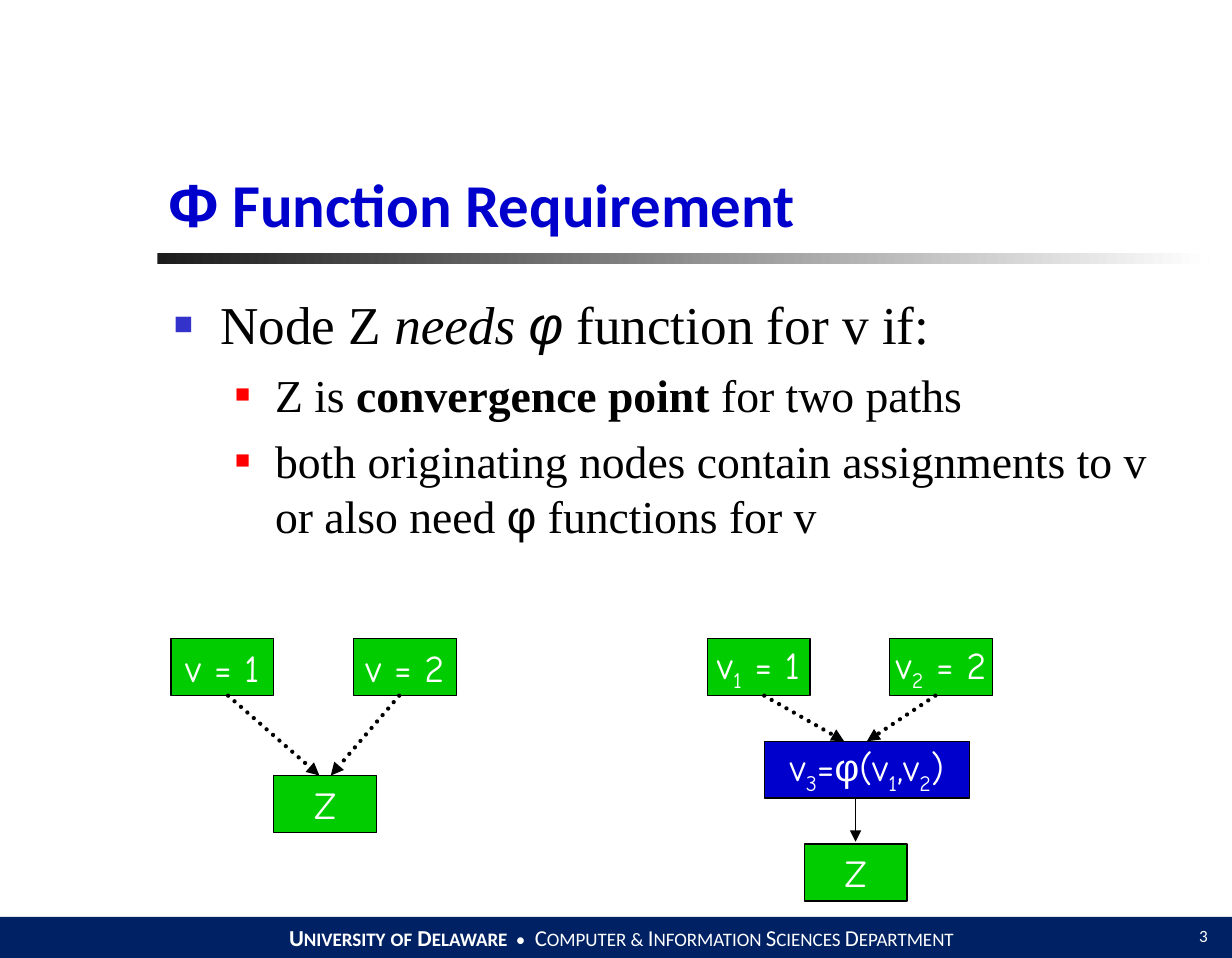
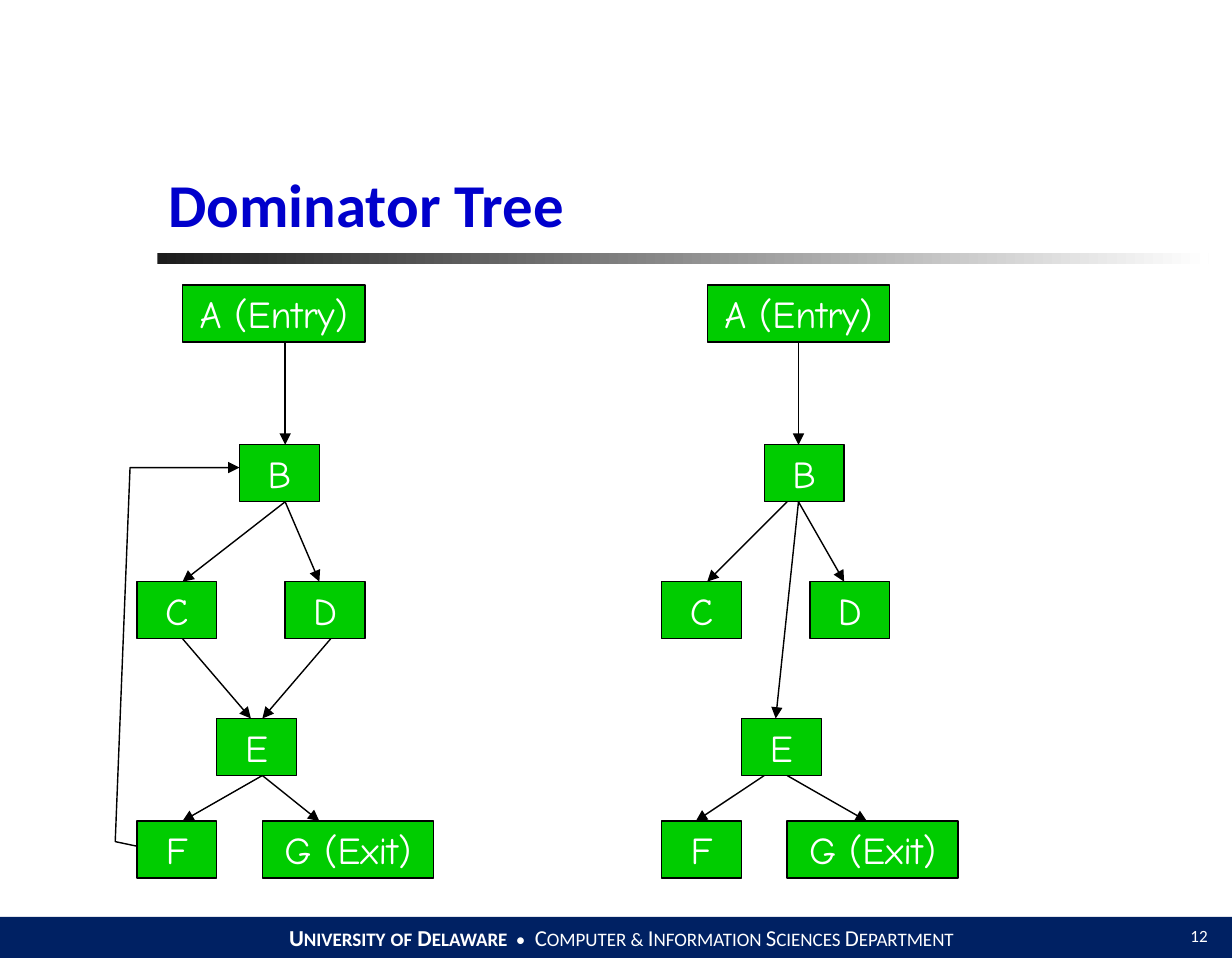
from lxml import etree
from pptx import Presentation
from pptx.dml.color import RGBColor
from pptx.enum.dml import MSO_LINE
from pptx.enum.shapes import MSO_CONNECTOR, MSO_SHAPE
from pptx.enum.text import MSO_ANCHOR, MSO_AUTO_SIZE, PP_ALIGN
from pptx.oxml.ns import qn
from pptx.util import Cm, Pt

RECT = MSO_SHAPE.RECTANGLE
STRAIGHT = MSO_CONNECTOR.STRAIGHT
DOTTED = MSO_LINE.ROUND_DOT
LEFT, CENTER, RIGHT = PP_ALIGN.LEFT, PP_ALIGN.CENTER, PP_ALIGN.RIGHT
MIDDLE, BOTTOM = MSO_ANCHOR.MIDDLE, MSO_ANCHOR.BOTTOM
NO_FIT = MSO_AUTO_SIZE.NONE

COLORS = {
    "title": "0000CC", "phi": "0000CC", "node": "00CC00", "band": "002163",
    "dark": "1C1C1C", "black": "000000", "white": "FFFFFF",
    "bullet": "3333CC", "sub_bullet": "FF0000",
}
SANS, SERIF, HAND, GREEK = "Calibri", "Times New Roman", "Comic Neue", "Arial"

# Diagrams sit on a grid of twelve steps to the inch
STEP = 2.54 / 12
NODE_HEIGHT = 5

# Footer pieces alternate between large and small capitals
FOOTER_BOLD = "U|NIVERSITY| |OF| D|ELAWARE  "
FOOTER_PLAIN = "|• | C|OMPUTER & |I|NFORMATION |S|CIENCES |D|EPARTMENT"

# Bullet levels: left margin and hanging indent (cm), space before, size, %, colour
LEVELS = [(0.86, -0.86, 7, 28, 60, "bullet"),
          (1.88, -0.74, 6, 24, 55, "sub_bullet")]


def rgb(name):
    return RGBColor.from_string(COLORS[name])


def grid(*steps):
    return [Cm(n * STEP) for n in steps]


def add_xml(parent, tag, **attrs):
    return etree.SubElement(parent, qn(tag), attrs)


class Deck:
    def __init__(self):
        self.prs = Presentation()
        self.prs.slide_width, self.prs.slide_height = Cm(22.86), Cm(17.78)
        self.s = None

    def slide(self, layout, number, title):
        self.s = self.prs.slides.add_slide(self.prs.slide_layouts[layout])
        self.rule()
        self.footer(number)
        self.title(title)

    # Text
    def font(self, p, size, name, color, bold=None):
        f = p.font
        f.size, f.name, f.bold = Pt(size), name, bold
        f.color.rgb = rgb(color)

    def add_runs(self, p, runs):
        """Each run is (text, marks): b bold, i italic, g Greek, s subscript."""
        for text, marks in runs:
            r = p.add_run()
            r.text = text
            if "b" in marks:
                r.font.bold = True
            if "i" in marks:
                r.font.italic = True
            if "g" in marks:
                r.font.name = GREEK
            if "s" in marks:
                r.font._element.set("baseline", "-25000")

    def place(self, sp, left, top, width, height):
        sp.left, sp.top = Cm(left), Cm(top)
        sp.width, sp.height = Cm(width), Cm(height)
        sp.text_frame.auto_size = NO_FIT
        return sp.text_frame

    def title(self, runs):
        tf = self.place(self.s.shapes.title, 2.87, 1.6, 19.48, 2.97)
        tf.vertical_anchor = BOTTOM
        p = tf.paragraphs[0]
        p.alignment = LEFT
        self.font(p, 32, SANS, "title", True)
        self.add_runs(p, runs)

    def bullets(self, items):
        tf = self.place(self.s.placeholders[1], 2.97, 5.28, 19.43, 6.55)
        for i, (level, runs) in enumerate(items):
            p = tf.add_paragraph() if i else tf.paragraphs[0]
            margin, indent, before, size, percent, color = LEVELS[level]
            p.level, p.space_before = level, Pt(before)
            pPr = p._p.get_or_add_pPr()
            pPr.set("marL", str(Cm(margin)))
            pPr.set("indent", str(Cm(indent)))
            add_xml(add_xml(pPr, "a:buClr"), "a:srgbClr", val=COLORS[color])
            add_xml(pPr, "a:buSzPct", val=str(percent * 1000))
            add_xml(pPr, "a:buFont", typeface=GREEK)
            add_xml(pPr, "a:buChar", char="■")
            self.font(p, size, SERIF, "black")
            self.add_runs(p, runs)

    # Shared parts
    def rect(self, left, top, width, height, color):
        sp = self.s.shapes.add_shape(RECT, left, top, width, height)
        sp.shadow.inherit = False
        sp.fill.solid()
        sp.fill.fore_color.rgb = rgb(color)
        sp.line.fill.background()
        return sp

    def rule(self):
        sp = self.rect(Cm(2.92), Cm(4.7), Cm(19.51), Cm(0.2), "dark")
        sp.fill.gradient()
        sp.fill.gradient_angle = 0
        for stop, color in zip(sp.fill.gradient_stops, ("dark", "white")):
            stop.color.rgb = rgb(color)

    def footer(self, number):
        sp = self.rect(Cm(0), Cm(17.02), Cm(23.06), Cm(0.76), "band")
        tf = sp.text_frame
        tf.vertical_anchor = MIDDLE
        p = tf.paragraphs[0]
        p.alignment = CENTER
        self.font(p, 10, SANS, "white")
        for part, bold in ((FOOTER_BOLD, True), (FOOTER_PLAIN, False)):
            for i, text in enumerate(part.split("|")):
                if text:
                    r = p.add_run()
                    r.text = text
                    r.font.size, r.font.bold = Pt(10 if i % 2 else 12), bold

        box = self.s.shapes.add_textbox(Cm(20.96), Cm(16.94), Cm(1.7), Cm(0.84))
        tf = box.text_frame
        tf.word_wrap, tf.vertical_anchor = True, MIDDLE
        p = tf.paragraphs[0]
        p.text, p.alignment = str(number), RIGHT
        self.font(p, 9, SANS, "white")

    # Diagram parts, in grid steps
    def node(self, left, top, width, runs, color="node"):
        sp = self.rect(*grid(left, top, width, NODE_HEIGHT), color)
        sp.line.color.rgb, sp.line.width = rgb("black"), Pt(0.75)
        tf = sp.text_frame
        tf.word_wrap, tf.vertical_anchor = False, MIDDLE
        p = tf.paragraphs[0]
        p.alignment = CENTER
        self.font(p, 20, HAND, "white")
        self.add_runs(p, [(runs, "")] if isinstance(runs, str) else runs)

    def arrow_line(self, sp, width, dotted=False):
        sp.line.color.rgb, sp.line.width = rgb("black"), Pt(width)
        ln = sp.element.spPr.find(qn("a:ln"))
        if dotted:
            sp.line.dash_style = DOTTED
            ln.set("cap", "rnd")
        add_xml(ln, "a:tailEnd", type="triangle")

    def arrow(self, *ends, width=0.75, dotted=False):
        c = self.s.shapes.add_connector(STRAIGHT, *grid(*ends))
        self.arrow_line(c, width, dotted)
        add_xml(c.element.spPr, "a:effectLst")

    def bent_arrow(self, start, *points):
        fb = self.s.shapes.build_freeform(*grid(*start), scale=1.0)
        fb.add_line_segments([grid(*pt) for pt in points], close=False)
        sp = fb.convert_to_shape()
        sp.fill.background()
        self.arrow_line(sp, 0.75)
        sp.shadow.inherit = False


def phi_slide(deck):
    deck.slide(1, 3, [("Φ", "g"), (" Function Requirement", "")])
    deck.bullets([
        (0, [("Node Z ", ""), ("needs ", "i"), ("φ", "ig"),
             (" function for v if:", "")]),
        (1, [("Z is ", ""), ("convergence point ", "b"), ("for two paths", "")]),
        (1, [("both originating nodes contain assignments to v or also need ", ""),
             ("φ", "g"), (" functions for v", "")]),
    ])

    # Without a φ function
    deck.node(15, 56, 9, "v = 1")
    deck.node(31, 56, 9, "v = 2")
    deck.node(24, 68, 9, "Z")

    # With a φ function
    deck.node(62, 56, 9, [("v", ""), ("1", "s"), (" = 1", "")])
    deck.node(78, 56, 9, [("v", ""), ("2", "s"), (" = 2", "")])
    deck.node(67, 65, 18, [("v", ""), ("3", "s"), ("=", ""), ("φ", "g"),
                           ("(v", ""), ("1", "s"), (",v", ""), ("2", "s"),
                           (")", "")], "phi")
    deck.node(70.5, 74, 9, "Z")

    for ends in ((20, 61, 28, 68), (35, 61, 29, 68),
                 (67, 61, 74, 65), (82, 61, 76, 65)):
        deck.arrow(*ends, width=2.25, dotted=True)
    deck.arrow(75, 70, 75, 73.8, width=0.25)


def dominator_slide(deck):
    deck.slide(5, 12, [("Dominator Tree", "")])

    # The same nodes for the flow graph and for its tree
    nodes = [(16, 25, 16, "A (Entry)"), (21, 39, 7, "B"), (12, 51, 7, "C"),
             (25, 51, 7, "D"), (19, 63, 7, "E"), (12, 72, 7, "F"),
             (23, 72, 15, "G (Exit)")]
    for shift in (0, 46):
        for left, top, width, label in nodes:
            deck.node(left + shift, top, width, label)

    flow_edges = [(25, 30, 25, 39), (25, 44, 16, 51), (25, 44, 28, 51),
                  (16, 56, 22, 63), (29, 56, 23, 63), (23, 68, 16, 72),
                  (23, 68, 28, 72)]
    tree_edges = [(70, 30, 70, 39), (70, 44, 74, 51), (69, 44, 62, 51),
                  (70, 44, 68, 63), (69, 68, 76, 72), (67, 68, 61, 72)]
    for ends in flow_edges + tree_edges:
        deck.arrow(*ends)

    # Loop from F back to B
    deck.bent_arrow((12, 74.2), (10.1, 73.8), (11.4, 41), (21, 41))


def main():
    deck = Deck()
    phi_slide(deck)
    dominator_slide(deck)
    deck.prs.save("out.pptx")


if __name__ == "__main__":
    main()
